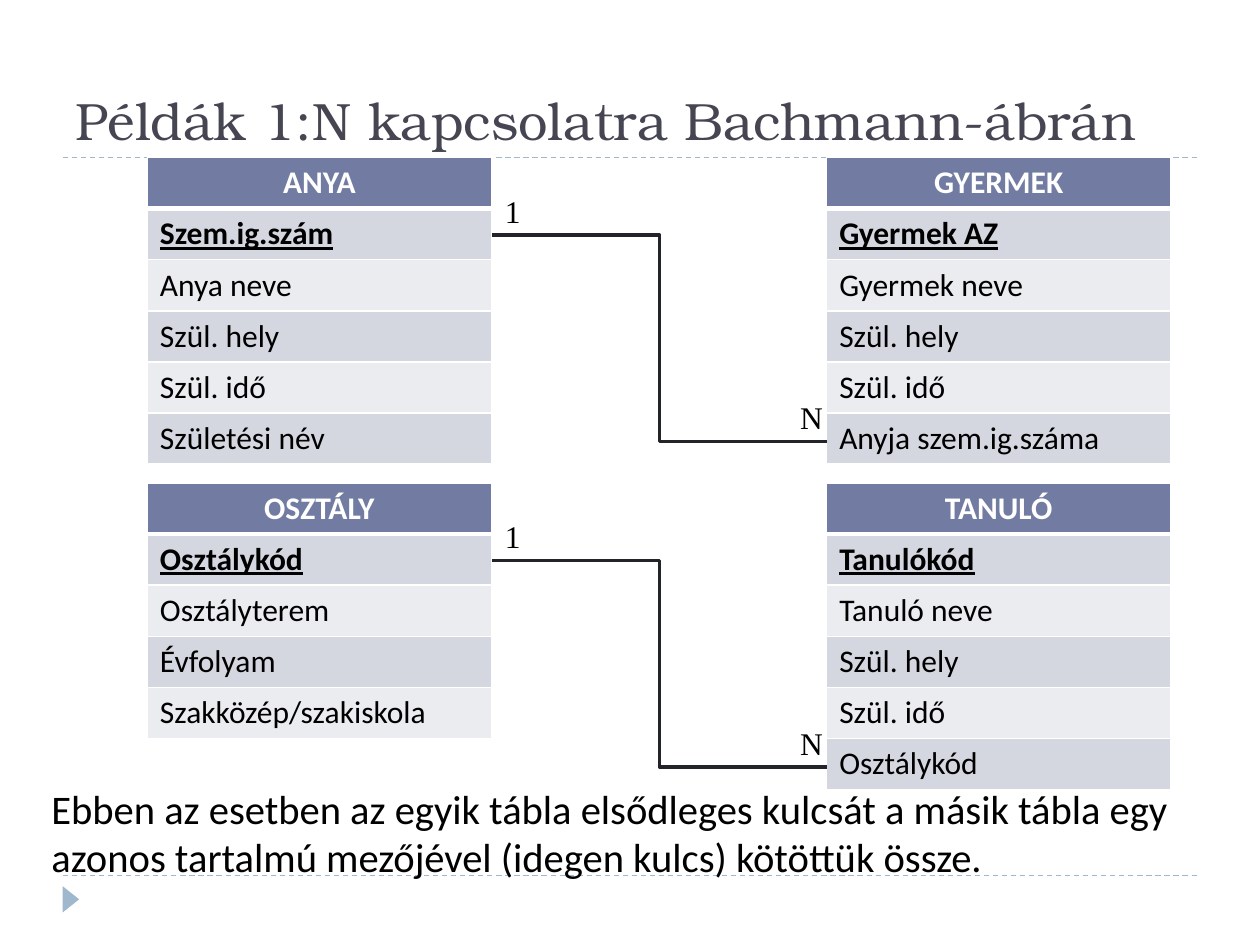
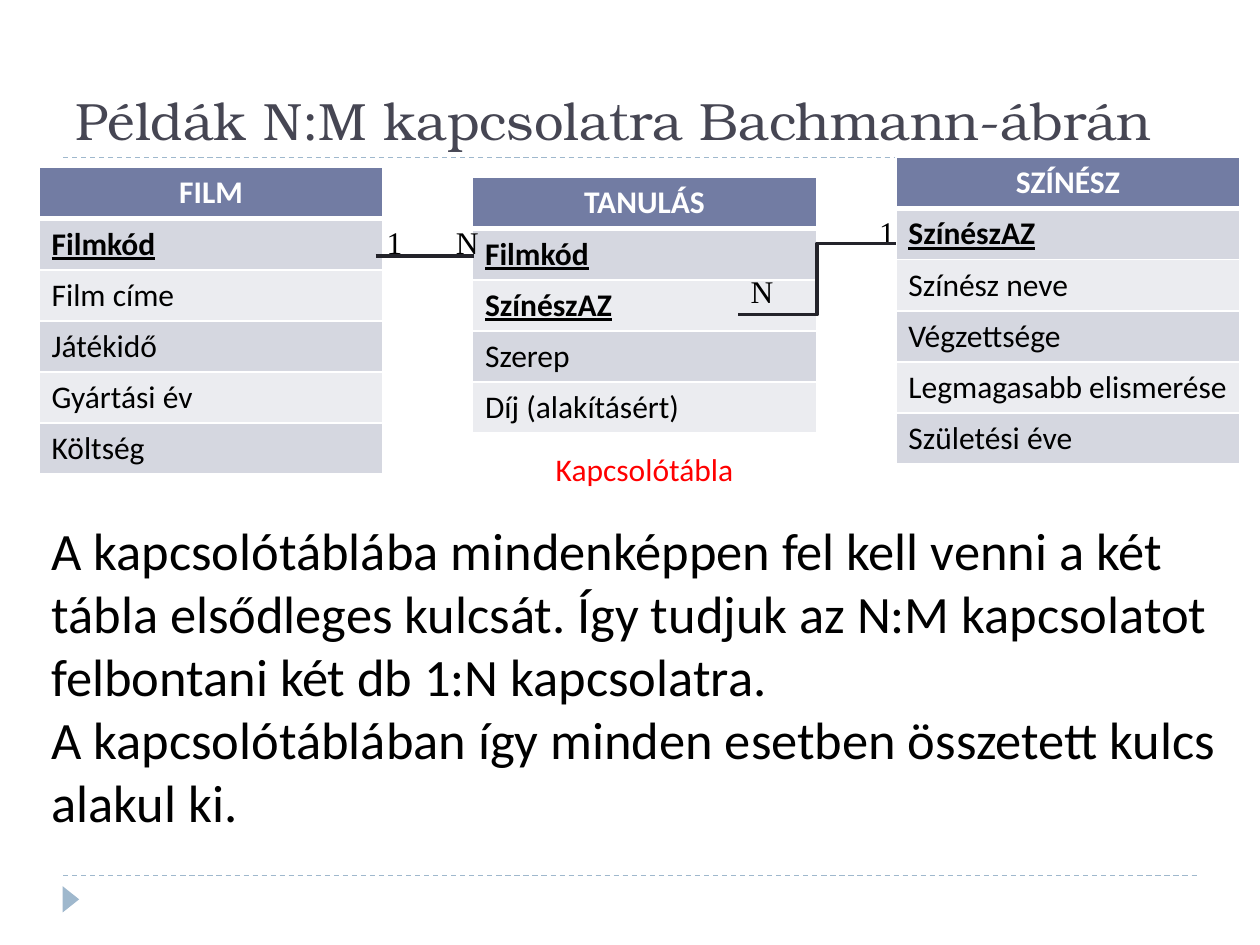
from lxml import etree
from pptx import Presentation
from pptx.dml.color import RGBColor
from pptx.enum import dml, shapes, text
from pptx.oxml import ns
from pptx.util import Pt

COLORS = {
    "title": "464653", "rule": "9FB8CD", "header": "727CA3", "odd": "D5D7E0",
    "even": "EBECF0", "white": "FFFFFF", "ink": "000000", "link": "23232A",
    "accent": "FF0000",
}
BODY, TITLE, LABEL = "Calibri", "TeX Gyre Bonum", "Times New Roman"
TABLE_W, ROW_H = 196.6, 29.2
LABEL_H = 28.8
STRAIGHT, ELBOW = shapes.MSO_CONNECTOR.STRAIGHT, shapes.MSO_CONNECTOR.ELBOW


def rgb(name):
    return RGBColor.from_string(COLORS[name])


def add_run(p, words, size, font, color, bold=False, underline=False):
    r = p.add_run()
    r.text = words
    f = r.font
    f.size, f.name, f.bold, f.underline = Pt(size), font, bold, underline
    f.color.rgb = rgb(color)


def add_text(s, box, lines, size, font=BODY, color="ink", align=None,
             anchor=text.MSO_ANCHOR.TOP, before=0):
    """One paragraph whose lines are parted by line breaks."""
    tf = s.shapes.add_textbox(*map(Pt, box)).text_frame
    tf.word_wrap = True
    tf.vertical_anchor = anchor
    p = tf.paragraphs[0]
    p.alignment = align
    p.space_before = Pt(before)
    for i, line in enumerate(lines):
        if i:
            p.add_line_break()
        add_run(p, line, size, font, color)


def add_line(s, start, end, color, width, kind=STRAIGHT):
    c = s.shapes.add_connector(kind, *map(Pt, (*start, *end)))
    c.line.color.rgb = rgb(color)
    c.line.width = Pt(width)
    etree.SubElement(c.element.spPr, ns.qn("a:effectLst"))
    return c


def add_frame(prs, title):
    """Dashed rules, corner marker and title."""
    s = prs.slides.add_slide(prs.slide_layouts[6])
    for y in (500.4, 90):
        rule = add_line(s, (36, y), (684, y), "rule", 0.75)
        rule.line.dash_style = dml.MSO_LINE.DASH
    sp = s.shapes.add_shape(shapes.MSO_SHAPE.ISOSCELES_TRIANGLE,
                            Pt(33), Pt(509.2), Pt(15), Pt(9.4))
    sp.rotation = 90
    sp.shadow.inherit = False
    sp.fill.solid()
    sp.fill.fore_color.rgb = rgb("rule")
    sp.line.fill.background()
    add_text(s, (36, 18, 661.7, 72), [title], 30, TITLE, "title",
             anchor=text.MSO_ANCHOR.BOTTOM)
    return s


def set_borders(cell, top, bottom):
    tcPr = cell._tc.get_or_add_tcPr()
    for side, width in (("L", 1), ("R", 1), ("T", top), ("B", bottom)):
        ln = etree.SubElement(tcPr, ns.qn("a:ln" + side), w=str(Pt(width)))
        fill = etree.SubElement(ln, ns.qn("a:solidFill"))
        etree.SubElement(fill, ns.qn("a:srgbClr"), val=COLORS["white"])


def add_entity(s, left, top, name, fields, keys=1):
    """Entity table: header, then fields, of which the first are keys."""
    rows = [name, *fields]
    table = s.shapes.add_table(len(rows), 1, Pt(left), Pt(top), Pt(TABLE_W),
                               Pt(ROW_H * len(rows))).table
    for i, words in enumerate(rows):
        table.rows[i].height = Pt(ROW_H)
        cell = table.cell(i, 0)
        set_borders(cell, 3 if i == 1 else 1, 3 if i == 0 else 1)
        cell.fill.solid()
        band = "header" if i == 0 else "odd" if i % 2 else "even"
        cell.fill.fore_color.rgb = rgb(band)
        p = cell.text_frame.paragraphs[0]
        if i == 0:
            p.alignment = text.PP_ALIGN.CENTER
        add_run(p, words, 18, BODY, "ink" if i else "white",
                bold=i <= keys, underline=0 < i <= keys)


def add_relation(s, start, end, labels, kind=ELBOW):
    """Link with a label (words, dx, dy, width) placed from each end."""
    for (x, y), (words, dx, dy, w) in zip((start, end), labels):
        add_text(s, (x + dx, y + dy, w, LABEL_H), [words], 18, LABEL)
    add_line(s, start, end, "link", 2, kind)


def one_to_many_pair(s, top, parent, child):
    """Two entities; the parent's key meets the child's last field."""
    left, right = 84.2, 472.4
    add_entity(s, left, top, *parent)
    add_entity(s, right, top, *child)
    add_relation(s, (left + TABLE_W + 0.6, top + 44.2), (right, top + 162.2),
                 [("1", 0, -28, 22.3), ("N", -22.3, -28, 22.3)])


def one_to_many_slide(prs):
    s = add_frame(prs, "Példák 1:N kapcsolatra Bachmann-ábrán")
    pairs = [
        (("ANYA", ["Szem.ig.szám", "Anya neve", "Szül. hely", "Szül. idő",
                   "Születési név"]),
         ("GYERMEK", ["Gyermek AZ", "Gyermek neve", "Szül. hely", "Szül. idő",
                      "Anyja szem.ig.száma"])),
        (("OSZTÁLY", ["Osztálykód", "Osztályterem", "Évfolyam",
                      "Szakközép/szakiskola"]),
         ("TANULÓ", ["Tanulókód", "Tanuló neve", "Szül. hely", "Szül. idő",
                     "Osztálykód"])),
    ]
    for i, (parent, child) in enumerate(pairs):
        one_to_many_pair(s, 90 + 186 * i, parent, child)
    add_text(s, (22.3, 444.2, 680.4, 56.2),
             ["Ebben az esetben az egyik tábla elsődleges kulcsát a másik "
              "tábla egy azonos tartalmú mezőjével (idegen kulcs) kötöttük "
              "össze."], 23.2, before=6)


def many_to_many_slide(prs):
    s = add_frame(prs, "Példák N:M kapcsolatra Bachmann-ábrán")
    add_text(s, (22.3, 292.3, 680.4, 208.1),
             ["A kapcsolótáblába mindenképpen fel kell venni a két tábla "
              "elsődleges kulcsát. Így tudjuk az N:M kapcsolatot felbontani "
              "két db 1:N kapcsolatra.",
              "A kapcsolótáblában így minden esetben összetett kulcs alakul "
              "ki."], 30, before=6)
    add_text(s, (258.5, 253.4, 219.6, LABEL_H), ["Kapcsolótábla"], 18,
             color="accent", align=text.PP_ALIGN.CENTER)

    # Entities
    add_entity(s, 22.3, 95.8, "FILM", ["Filmkód", "Film címe", "Játékidő",
                                       "Gyártási év", "Költség"])
    add_entity(s, 511.9, 90, "SZÍNÉSZ",
               ["SzínészAZ", "Színész neve", "Végzettsége",
                "Legmagasabb elismerése", "Születési éve"])
    add_entity(s, 270, 101.5, "TANULÁS",
               ["Filmkód", "SzínészAZ", "Szerep", "Díj (alakításért)"], keys=2)

    # Relations to the linking table
    add_relation(s, (214.6, 146.2), (270.7, 146.2),
                 [("1", -0.7, -22.3, 18), ("N", -17.3, -22.3, 18)], STRAIGHT)
    add_relation(s, (511.9, 139), (421.9, 179.8),
                 [("1", -16.6, -20.9, 16.6), ("N", 0, -27.9, 28.1)])


def main():
    prs = Presentation()
    prs.slide_width, prs.slide_height = Pt(720), Pt(540)
    one_to_many_slide(prs)
    many_to_many_slide(prs)
    prs.save("out.pptx")


if __name__ == "__main__":
    main()
